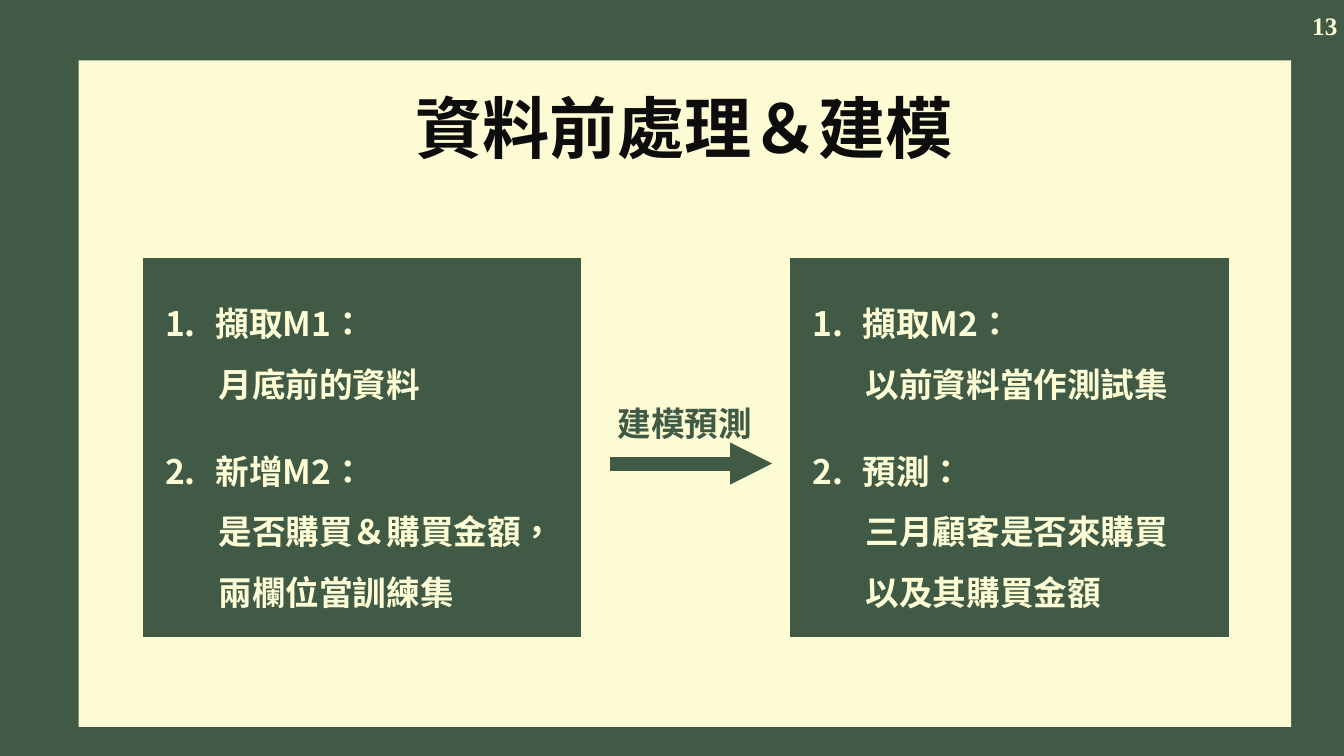
import pptx
import pptx.dml.color
import pptx.enum.shapes
import pptx.enum.text
import pptx.oxml.ns
import pptx.util
from lxml import etree

Cm = pptx.util.Cm
Pt = pptx.util.Pt
qn = pptx.oxml.ns.qn

COLORS = {"green": "405A46", "cream": "FCFBD4", "text": "FCFCD5", "ink": "0D0D0D"}
CJK_FONT = "Noto Sans CJK TC"


def color(name):
    return pptx.dml.color.RGBColor.from_string(COLORS[name])


def write(paragraph, text, size=24, font=CJK_FONT, fill="text", align="LEFT",
          spacing=None, before=0, left=0, number=None):
    properties = paragraph._p.get_or_add_pPr()
    if left:
        properties.set("marL", str(Cm(left)))
    if number:
        properties.set("indent", str(-Cm(left)))
        etree.SubElement(properties, qn("a:buAutoNum"),
                         type="arabicPeriod", startAt=str(number))
    paragraph.alignment = getattr(pptx.enum.text.PP_ALIGN, align)
    if spacing:
        paragraph.line_spacing = spacing
    if before:
        paragraph.space_before = Pt(before)
    run = paragraph.add_run()
    run.text = text
    run.font.size = Pt(size)
    run.font.bold = True
    run.font.name = font
    run.font.color.rgb = color(fill)
    run_properties = run._r.get_or_add_rPr()
    run_properties.set("lang", "zh-TW")
    etree.SubElement(run_properties, qn("a:ea"), typeface=font)


class SlideBuilder:
    def __init__(self, presentation):
        self.slide = presentation.slides.add_slide(presentation.slide_layouts[5])
        background = self.slide.background.fill
        background.solid()
        background.fore_color.rgb = color("green")

    def rectangle(self, left, top, width, height, fill, line_width=0):
        shape = self.slide.shapes.add_shape(
            pptx.enum.shapes.MSO_SHAPE.RECTANGLE,
            Cm(left), Cm(top), Cm(width), Cm(height))
        shape.shadow.inherit = False
        shape.fill.solid()
        shape.fill.fore_color.rgb = color(fill)
        if line_width:
            shape.line.color.rgb = color(fill)
            shape.line.width = Pt(line_width)
            etree.SubElement(shape.line._get_or_add_ln(), qn("a:miter"), lim="800000")
        else:
            shape.line.fill.background()
        return shape

    def title(self, text, left, top, width, height, panel):
        shape = self.slide.shapes.title
        shape.left, shape.top = Cm(left), Cm(top)
        shape.width, shape.height = Cm(width), Cm(height)
        shape.text_frame.auto_size = pptx.enum.text.MSO_AUTO_SIZE.NONE
        write(shape.text_frame.paragraphs[0], text, size=48, fill="ink", align="CENTER")
        shape.element.addprevious(panel.element)

    def text_box(self, left, top, width, height, wrap=True):
        shape = self.slide.shapes.add_textbox(Cm(left), Cm(top), Cm(width), Cm(height))
        shape.text_frame.word_wrap = wrap
        return shape.text_frame

    def label(self, text, left, top, width, height, wrap=True, **style):
        frame = self.text_box(left, top, width, height, wrap)
        write(frame.paragraphs[0], text, **style)

    def step_box(self, left, top, steps):
        self.rectangle(left, top, 10.8, 9.3, "green", line_width=7)
        frame = self.text_box(left + 0.18, top + 0.38, 10.44, 8.53)
        for number, (heading, *details) in enumerate(steps, 1):
            paragraph = frame.paragraphs[0] if number == 1 else frame.add_paragraph()
            write(paragraph, heading, spacing=1.5, left=1.27, number=number,
                  before=0 if number == 1 else 19)
            for detail in details:
                write(frame.add_paragraph(), detail, spacing=1.5, left=1.35)

    def arrow(self, start, end, y, width):
        connector = self.slide.shapes.add_connector(
            pptx.enum.shapes.MSO_CONNECTOR.STRAIGHT, Cm(start), Cm(y), Cm(end), Cm(y))
        connector.line.color.rgb = color("green")
        connector.line.width = Pt(width)
        etree.SubElement(connector.line._get_or_add_ln(), qn("a:tailEnd"), type="triangle")
        etree.SubElement(connector.element.spPr, qn("a:effectLst"))


def main():
    presentation = pptx.Presentation()
    presentation.slide_width = Cm(33.87)
    presentation.slide_height = Cm(19.05)
    builder = SlideBuilder(presentation)

    panel = builder.rectangle(1.98, 1.52, 30.56, 16.8, "cream")
    builder.title("資料前處理＆建模", 10.16, 2.03, 14.17, 2.31, panel)
    builder.label("13", 32.82, 0.13, 1.14, 1.02, wrap=False,
                  size=18, font="Times New Roman")

    builder.step_box(3.73, 6.63, [
        ("擷取M1：", "月底前的資料"),
        ("新增M2：", "是否購買＆購買金額，", "兩欄位當訓練集"),
    ])
    builder.step_box(20.04, 6.63, [
        ("擷取M2：", "以前資料當作測試集"),
        ("預測：", "三月顧客是否來購買", "以及其購買金額"),
    ])
    builder.arrow(15.37, 19.46, 11.68, 10)
    builder.label("建模預測", 15.32, 9.53, 4.11, 1.6, fill="green", spacing=1.5)

    presentation.save("out.pptx")


if __name__ == "__main__":
    main()
